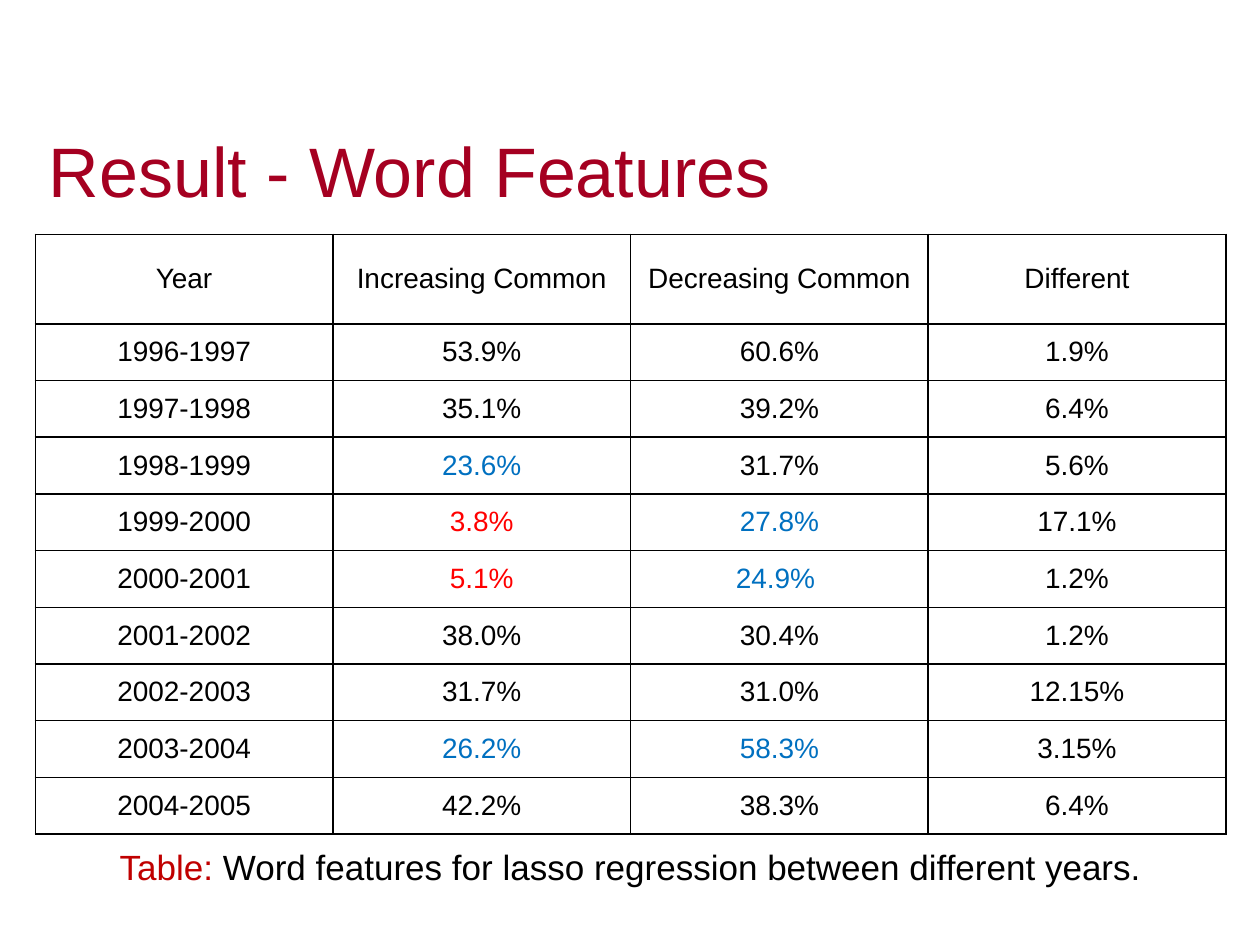
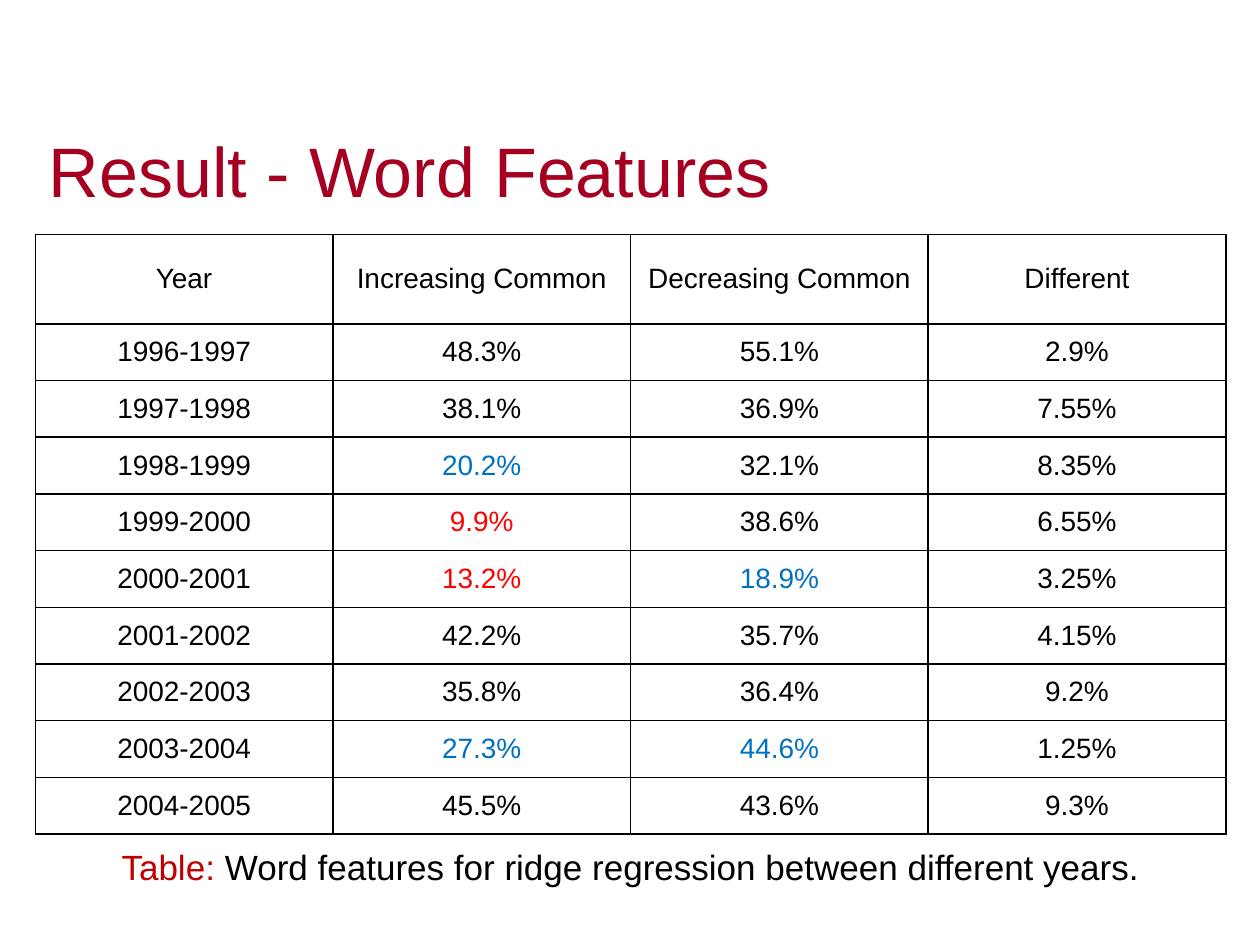
import pptx
import pptx.dml.color
import pptx.enum.text
import pptx.util
from lxml import etree
from pptx.oxml.ns import qn

Inches = pptx.util.Inches
Align = pptx.enum.text.PP_ALIGN
Anchor = pptx.enum.text.MSO_ANCHOR

FONT = "Arial"
TITLE = "A50021"
LABEL = "C00000"
BLACK = "000000"
BLUE = "0070C0"
RED = "FF0000"

HEADS = ["Year", "Increasing Common", "Decreasing Common", "Different"]
START = 1996
LEFT, WIDTH = 0.28, 9.45
HEAD_H, ROW_H = 0.71, 0.45

PAGES = [
    {
        "model": "lasso",
        "rows": [
            ("53.9%", "60.6%", "1.9%"),
            ("35.1%", "39.2%", "6.4%"),
            ("23.6%", "31.7%", "5.6%"),
            ("3.8%", "27.8%", "17.1%"),
            ("5.1%", "24.9% ", "1.2%"),
            ("38.0%", "30.4%", "1.2%"),
            ("31.7%", "31.0%", "12.15%"),
            ("26.2%", "58.3%", "3.15%"),
            ("42.2%", "38.3%", "6.4%"),
        ],
        "blue": ["23.6%", "27.8%", "24.9% ", "26.2%", "58.3%"],
        "red": ["3.8%", "5.1%"],
    },
    {
        "model": "ridge",
        "rows": [
            ("48.3%", "55.1%", "2.9%"),
            ("38.1%", "36.9%", "7.55%"),
            ("20.2%", "32.1%", "8.35%"),
            ("9.9%", "38.6%", "6.55%"),
            ("13.2%", "18.9%", "3.25%"),
            ("42.2%", "35.7%", "4.15%"),
            ("35.8%", "36.4%", "9.2%"),
            ("27.3%", "44.6%", "1.25%"),
            ("45.5%", "43.6%", "9.3%"),
        ],
        "blue": ["20.2%", "18.9%", "27.3%", "44.6%"],
        "red": ["9.9%", "13.2%"],
    },
]


def hue(code):
    return pptx.dml.color.RGBColor.from_string(code)


def write(para, runs, size, align):
    para.alignment = align
    for text, code in runs:
        run = para.add_run()
        run.text = text
        run.font.name = FONT
        run.font.size = pptx.util.Pt(size)
        run.font.color.rgb = hue(code)


deck = pptx.Presentation()
deck.slide_width = Inches(10)
deck.slide_height = Inches(7.5)

for page in PAGES:
    slide = deck.slides.add_slide(deck.slide_layouts[6])

    title = slide.shapes.add_textbox(Inches(0.29), Inches(0.6), Inches(9.43), Inches(1.57)).text_frame
    title.word_wrap = True
    title.vertical_anchor = Anchor.MIDDLE
    title.paragraphs[0].line_spacing = 0.9
    write(title.paragraphs[0], [("Result - Word Features", TITLE)], 40, Align.LEFT)

    note = slide.shapes.add_textbox(Inches(LEFT), Inches(6.66), Inches(WIDTH), Inches(0.44)).text_frame
    note.word_wrap = True
    line = f"Word features for {page['model']} regression between different years."
    write(note.paragraphs[0], [("Table: ", LABEL), (line, BLACK)], 20, Align.CENTER)

    grid = [HEADS]
    for step, vals in enumerate(page["rows"]):
        grid.append([f"{START + step}-{START + step + 1}", *vals])

    high = HEAD_H + ROW_H * len(page["rows"])
    table = slide.shapes.add_table(
        len(grid), len(HEADS), Inches(LEFT), Inches(1.86), Inches(WIDTH), Inches(high)
    ).table
    table.first_row = False
    table.horz_banding = False
    for col in table.columns:
        col.width = Inches(WIDTH / len(HEADS))

    for r, vals in enumerate(grid):
        table.rows[r].height = Inches(ROW_H if r else HEAD_H)
        for c, text in enumerate(vals):
            cell = table.cell(r, c)
            cell.vertical_anchor = Anchor.MIDDLE
            code = BLUE if text in page["blue"] else RED if text in page["red"] else BLACK
            write(cell.text_frame.paragraphs[0], [(text, code)], 16, Align.CENTER)
            props = cell._tc.get_or_add_tcPr()
            for side in ("a:lnL", "a:lnR", "a:lnT", "a:lnB"):
                edge = etree.SubElement(props, qn(side), w=str(pptx.util.Pt(1)))
                fill = etree.SubElement(edge, qn("a:solidFill"))
                etree.SubElement(fill, qn("a:srgbClr"), val=BLACK)
            cell.fill.background()

deck.save("out.pptx")
